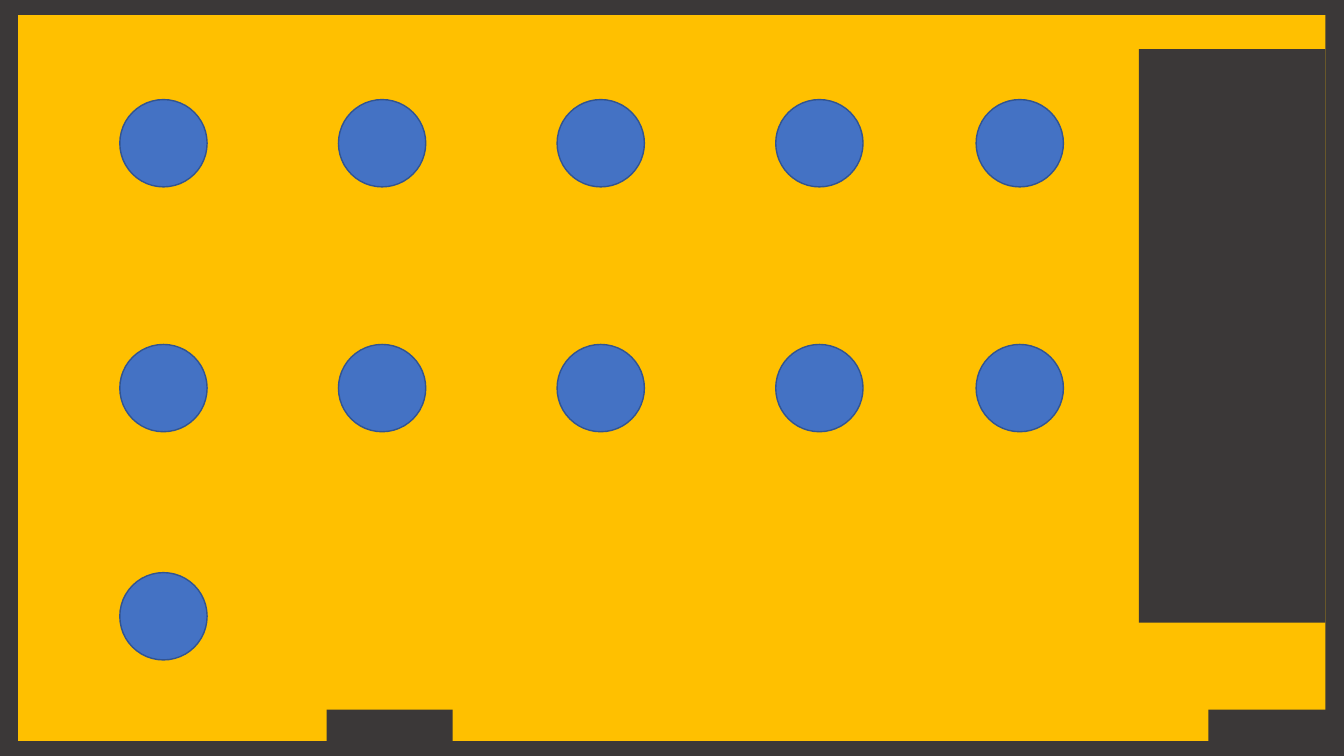
"""Builds a floor plan with a dark frame, a yellow floor and round blue tables."""
from pptx import Presentation
from pptx.dml.color import RGBColor
from pptx.enum.shapes import MSO_SHAPE
from pptx.util import Cm, Pt

RECTANGLE = MSO_SHAPE.RECTANGLE
CONNECTOR_CIRCLE = MSO_SHAPE.FLOWCHART_CONNECTOR

THEME = {
    "wall": RGBColor.from_string("3B3838"),
    "floor": RGBColor.from_string("FFC000"),
    "table": RGBColor.from_string("4472C4"),
    "table_edge": RGBColor.from_string("325491"),
    "edge_width": Pt(1),
}
SLIDE_WIDTH, SLIDE_HEIGHT = 33.87, 19.05

prs = Presentation()
prs.slide_width = Cm(SLIDE_WIDTH)
prs.slide_height = Cm(SLIDE_HEIGHT)
slide = prs.slides.add_slide(prs.slide_layouts[6])


def add_area(preset, color, left, top, width, height):
    area = slide.shapes.add_shape(preset, Cm(left), Cm(top), Cm(width), Cm(height))
    area.shadow.inherit = False
    area.fill.solid()
    area.fill.fore_color.rgb = THEME[color]
    area.line.fill.background()
    return area


add_area(RECTANGLE, "wall", 0, 0, SLIDE_WIDTH, SLIDE_HEIGHT)
add_area(RECTANGLE, "floor", 0.46, 0.38, 32.94, 18.29)
add_area(RECTANGLE, "wall", 28.7, 1.24, 4.7, 14.45)
for doorway_left in (8.23, 30.45):
    add_area(RECTANGLE, "wall", doorway_left, 17.88, 3.18, 0.79)

TABLE_SIZE = 2.2
FIRST_COLUMN, COLUMN_PITCH, LAST_COLUMN = 3.02, 5.51, 24.6
columns = [FIRST_COLUMN + i * COLUMN_PITCH for i in range(4)] + [LAST_COLUMN]
table_rows = [(2.51, columns), (8.68, columns), (14.43, columns[:1])]

for row_top, row_columns in table_rows:
    for column_left in row_columns:
        table = add_area(CONNECTOR_CIRCLE, "table", column_left, row_top, TABLE_SIZE, TABLE_SIZE)
        table.line.color.rgb = THEME["table_edge"]
        table.line.width = THEME["edge_width"]

prs.save("out.pptx")
